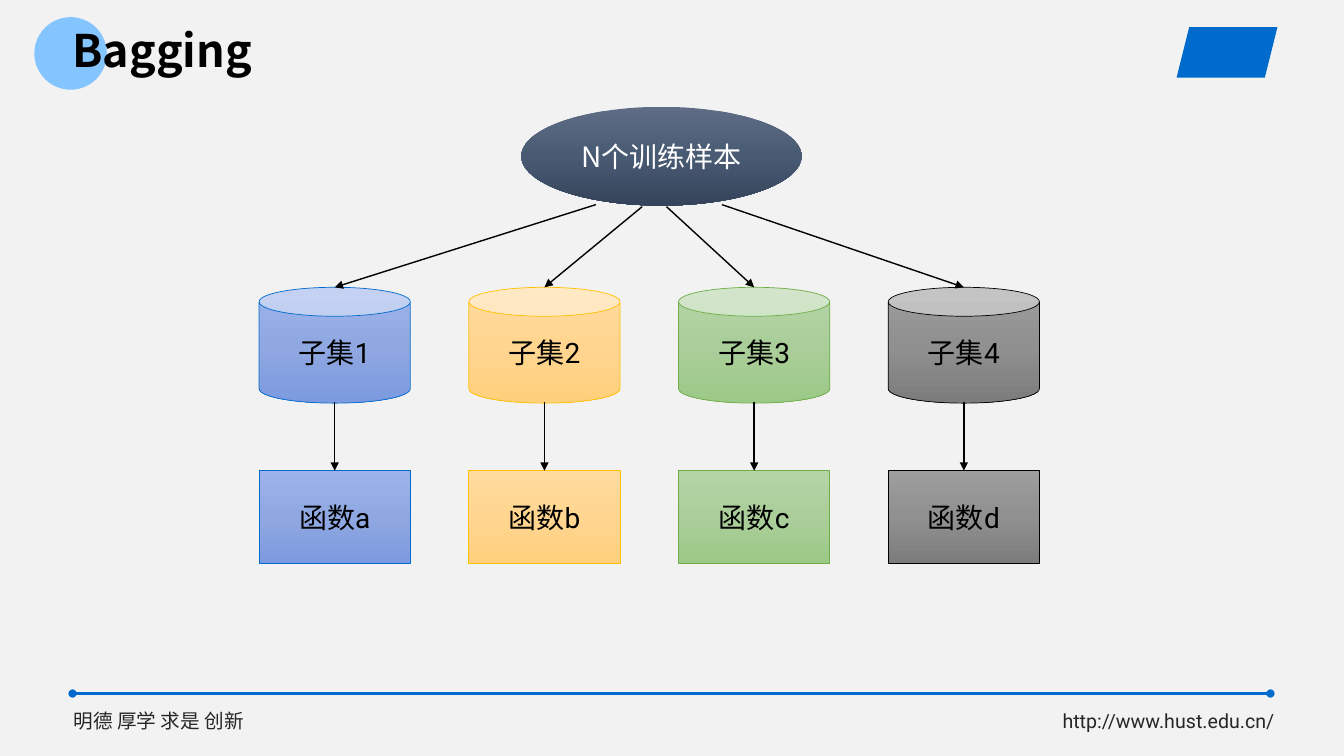
from copy import deepcopy
from pptx import Presentation
from pptx.dml.color import RGBColor
from pptx.enum import shapes, text
from pptx.oxml import ns
from pptx.oxml.xmlchemy import OxmlElement
from pptx.util import Inches, Pt

COLORS = {"background": "F2F2F2", "blue": "006BCC", "circle": "85C5FF",
          "footer": "262626", "black": "000000", "white": "FFFFFF"}
RGB = {name: RGBColor.from_string(value) for name, value in COLORS.items()}
GRADIENTS = {"sample": ["5E6D85", "495A73", "35445A"],
             "blue": ["9DB3EB", "90A8E2", "7C9ADF"],
             "yellow": ["FFDB9E", "FFD590", "FFD07C"],
             "green": ["B5D5A7", "AACE9A", "9CC987"],
             "gray": ["9D9D9D", "909090", "7C7C7C"]}
OUTLINES = {"blue": "006BCC", "yellow": "FFC000", "green": "70AD47", "gray": "000000"}
CJK = "Noto Sans CJK SC"
SHAPE = shapes.MSO_SHAPE

prs = Presentation()
prs.slide_width, prs.slide_height = Inches(13.33), Inches(7.5)
s = prs.slides.add_slide(prs.slide_layouts[6])
s.background.fill.solid()
s.background.fill.fore_color.rgb = RGB["background"]


def write(sp, words, color, align=text.PP_ALIGN.CENTER, anchor=text.MSO_ANCHOR.MIDDLE, **font):
    tf = sp.text_frame
    tf.word_wrap = True
    tf.vertical_anchor = anchor
    p = tf.paragraphs[0]
    p.alignment = align
    r = p.add_run()
    r.text = words
    r.font.color.rgb = RGB[color]
    for key, value in font.items():
        setattr(r.font, key, value)
    east_asian = OxmlElement("a:ea")
    east_asian.set("typeface", CJK)
    r.font._element.find(ns.qn("a:latin")).addnext(east_asian)
    return p


def connect(start, end, color, width, **ends):
    line = s.shapes.add_connector(shapes.MSO_CONNECTOR.STRAIGHT, *map(Inches, start + end))
    line.line.color.rgb = RGB[color]
    line.line.width = Pt(width)
    for tag, kind in ends.items():
        arrow = OxmlElement(f"a:{tag}")
        arrow.set("type", kind)
        line.line._get_or_add_ln().append(arrow)
    line._element.spPr.append(OxmlElement("a:effectLst"))


# Footer
for left, words in [(0.63, "明德 厚学 求是 创新"), (10.44, "http://www.hust.edu.cn/")]:
    sp = s.shapes.add_textbox(*map(Inches, (left, 6.98, 2.56, 0.34)))
    write(sp, words, "footer", text.PP_ALIGN.LEFT, text.MSO_ANCHOR.TOP, size=Pt(14), name="Roboto")
connect((0.72, 6.88), (12.6, 6.88), "blue", 1.75, headEnd="oval", tailEnd="oval")

# Title circle and plain emblem
for kind, color, box in [(SHAPE.OVAL, "circle", (0.34, 0.17, 0.72, 0.72)),
                         (SHAPE.PARALLELOGRAM, "blue", (11.67, 0.27, 1, 0.5))]:
    sp = s.shapes.add_shape(kind, *map(Inches, box))
    sp.shadow.inherit = False
    sp.fill.solid()
    sp.fill.fore_color.rgb = RGB[color]
    sp.line.fill.background()

# Title
sp = s.shapes.add_textbox(*map(Inches, (0.62, 0.29, 5.29, 0.47)))
p = write(sp, "Bagging", "black", text.PP_ALIGN.LEFT, size=Pt(32), name=CJK, bold=True)
p.line_spacing = 0.9

# Samples, subsets and functions
nodes = [(SHAPE.OVAL, (5.17, 1.06, 2.78, 0.98), "N个训练样本", "sample", "white", CJK)]
for i, (theme, letter) in enumerate(zip(OUTLINES, "abcd")):
    left = 2.57 + 2.08 * i
    nodes += [(SHAPE.CAN, (left, 2.85, 1.5, 1.15), f"子集{i + 1}", theme, "black", "Roboto"),
              (SHAPE.FLOWCHART_PROCESS, (left, 4.67, 1.5, 0.92), f"函数{letter}",
               theme, "black", "Roboto")]
for kind, box, words, theme, color, font in nodes:
    sp = s.shapes.add_shape(kind, *map(Inches, box))
    sp.shadow.inherit = False
    sp.fill.gradient()
    sp.fill.gradient_angle = 270
    stops = next(sp._element.iter(ns.qn("a:gsLst")))
    stops.insert(1, deepcopy(stops[0]))
    for stop, position, value in zip(sp.fill.gradient_stops, (0, 0.5, 1), GRADIENTS[theme]):
        stop.position = position
        stop.color.rgb = RGBColor.from_string(value)
    if theme in OUTLINES:
        sp.line.color.rgb = RGBColor.from_string(OUTLINES[theme])
        sp.line.width = Pt(0.5)
    else:
        sp.line.fill.background()
    write(sp, words, color, size=Pt(20), name=font)

# Arrows from samples to subsets to functions
for i, start in enumerate([(5.91, 2.03), (6.37, 2.05), (6.61, 2.05), (7.16, 2.03)]):
    center = 3.32 + 2.08 * i
    connect(start, (center, 2.85), "black", 1, tailEnd="triangle")
    connect((center, 3.99), (center, 4.67), "black", 1, tailEnd="triangle")

prs.save("out.pptx")
